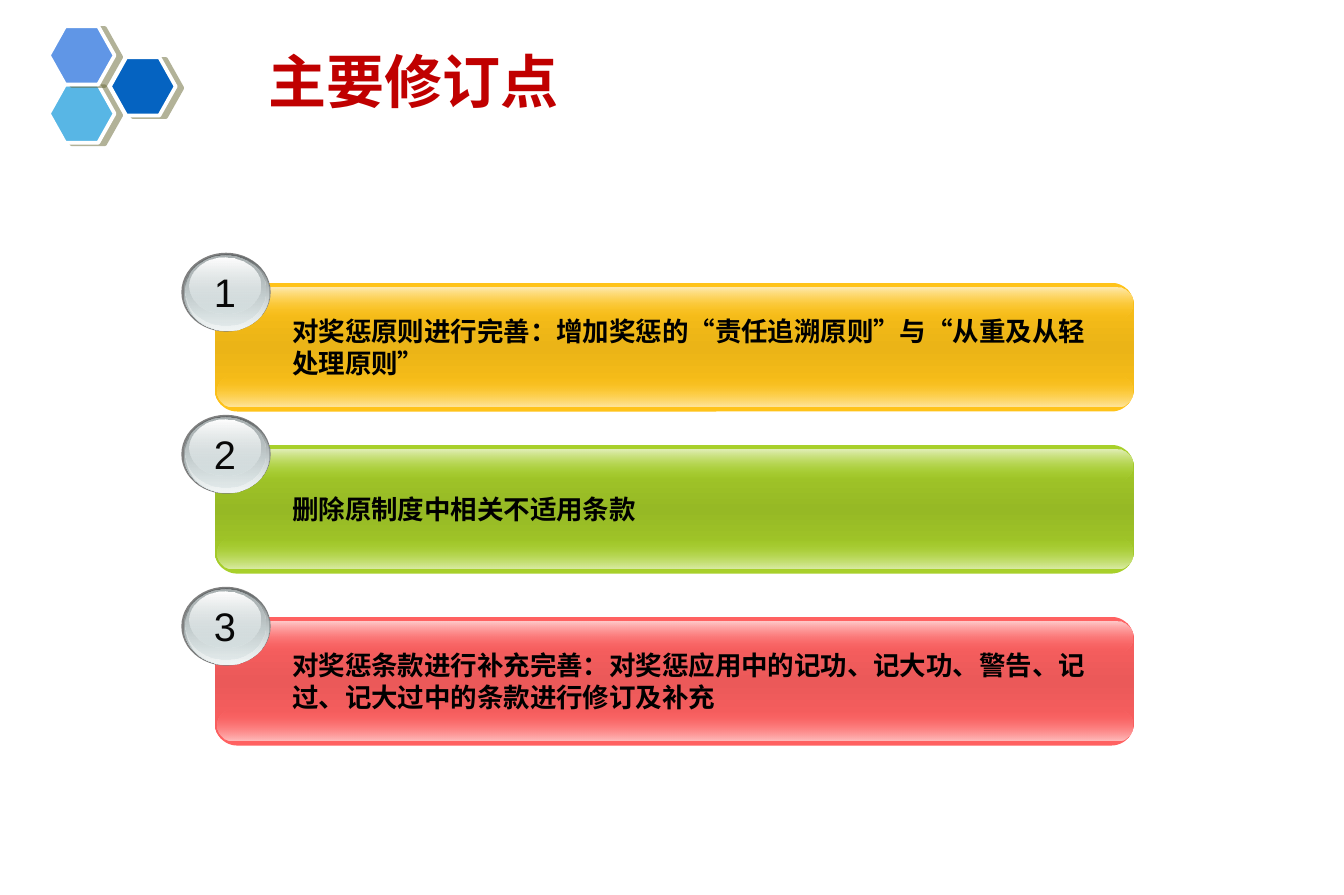
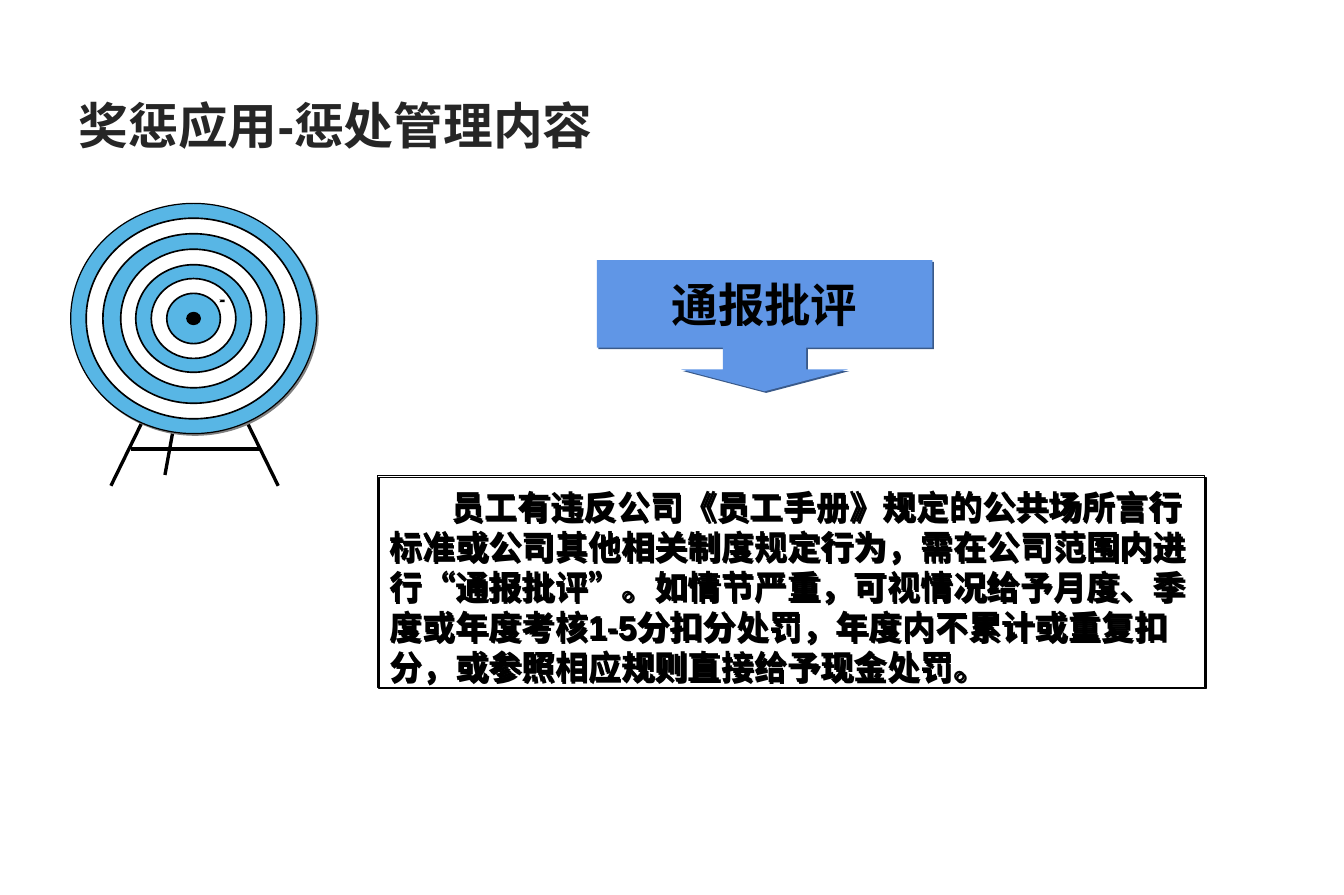
from lxml import etree
from pptx import Presentation
from pptx.dml.color import RGBColor
from pptx.enum.shapes import MSO_CONNECTOR, MSO_SHAPE
from pptx.enum.text import MSO_ANCHOR, PP_ALIGN
from pptx.oxml.ns import qn
from pptx.util import Cm, Pt

BAR = MSO_SHAPE.ROUNDED_RECTANGLE
BALL = MSO_SHAPE.OVAL
HEXAGON = MSO_SHAPE.HEXAGON
BOX = MSO_SHAPE.RECTANGLE
CALLOUT = MSO_SHAPE.DOWN_ARROW_CALLOUT
STRAIGHT = MSO_CONNECTOR.STRAIGHT
LEFT, CENTER = PP_ALIGN.LEFT, PP_ALIGN.CENTER
TOP, MIDDLE = MSO_ANCHOR.TOP, MSO_ANCHOR.MIDDLE

LATIN, CJK = "Arial", "Noto Sans CJK SC"
BLACK, WHITE = "000000", "FFFFFF"
SKY, BLUE, NAVY = "58B6E5", "6096E6", "0563C1"
SILVER, PALE = "D6E1E2", "F1F5F5"
HEXAGON_SHADOW = ("666633", 50, 4.1, 14)


def rgb(value):
    return RGBColor.from_string(value)


def add_color(parent, value, opacity=100):
    color = etree.SubElement(parent, qn("a:srgbClr"), val=value)
    if opacity < 100:
        etree.SubElement(color, qn("a:alpha"), val=str(opacity * 1000))


def add_shadow(effects, color, opacity, distance, angle):
    """Fill an effect list with one sharp shadow; distance in points."""
    shadow = etree.SubElement(
        effects, qn("a:outerShdw"), dist=str(Pt(distance)),
        dir=str(angle * 60000), algn="ctr", rotWithShape="0")
    add_color(shadow, color, opacity)


class Deck:
    def __init__(self):
        self.presentation = Presentation()
        self.presentation.slide_width = Cm(28.6)
        self.presentation.slide_height = Cm(19.05)
        self.slide = self.canvas = None

    def new_slide(self, title, place, size, color, align, font=LATIN):
        layout = self.presentation.slide_layouts[5]
        self.slide = self.presentation.slides.add_slide(layout)
        self.canvas = self.slide.shapes
        heading = self.slide.shapes.title
        heading.left, heading.top, heading.width, heading.height = map(Cm, place)
        self.set_text(heading, title, size, color, align, bold=True, font=font)

    def group(self):
        """Collect the following elements in a new group."""
        self.canvas = self.slide.shapes.add_group_shape().shapes

    def ungroup(self):
        self.canvas = self.slide.shapes

    def set_text(self, shape, text, size, color=BLACK, align=LEFT, anchor=MIDDLE,
                 bold=False, font=LATIN, spacing=None, shadow=None):
        frame = shape.text_frame
        frame.text = text
        frame.word_wrap = True
        frame.vertical_anchor = anchor
        paragraph = frame.paragraphs[0]
        paragraph.alignment = align
        if spacing:
            paragraph.line_spacing = Pt(spacing)
        run = paragraph.runs[0]
        run.font.size, run.font.bold = Pt(size), bold
        run.font.color.rgb = rgb(color)
        run.font.name = font
        properties = run._r.get_or_add_rPr()
        etree.SubElement(properties, qn("a:ea"), typeface=CJK)
        if shadow:
            effects = etree.Element(qn("a:effectLst"))
            properties.find(qn("a:solidFill")).addnext(effects)
            add_shadow(effects, *shadow)
        return paragraph

    def text(self, place, text, size, **style):
        return self.set_text(self.canvas.add_textbox(*map(Cm, place)), text, size, **style)

    def paint(self, shape, fill=None, line=None, shadow=None):
        """Fill is a hex colour, or a list of (position, colour, opacity) stops."""
        if fill is None:
            shape.fill.background()
        else:
            shape.fill.solid()
            if isinstance(fill, str):
                shape.fill.fore_color.rgb = rgb(fill)
            else:
                self.grade(shape, fill)
        if line:
            shape.line.color.rgb = rgb(line[0])
            shape.line.width = Pt(line[1])
        else:
            shape.line.fill.background()
        shape.shadow.inherit = False
        if shadow:
            add_shadow(shape._element.spPr.find(qn("a:effectLst")), *shadow)

    def grade(self, shape, stops):
        """Replace a solid fill by a gradient running downwards."""
        gradient = etree.Element(qn("a:gradFill"), rotWithShape="1")
        stop_list = etree.SubElement(gradient, qn("a:gsLst"))
        for position, color, opacity in stops:
            stop = etree.SubElement(stop_list, qn("a:gs"), pos=str(position * 1000))
            add_color(stop, color, opacity)
        etree.SubElement(gradient, qn("a:lin"), ang="5400000", scaled="1")
        properties = shape._element.spPr
        properties.replace(properties.find(qn("a:solidFill")), gradient)

    def shape(self, kind, place, adjustments=(), **style):
        shape = self.canvas.add_shape(kind, *map(Cm, place))
        for index, value in enumerate(adjustments):
            shape.adjustments[index] = value
        self.paint(shape, **style)
        return shape

    def line(self, *ends):
        line = self.canvas.add_connector(STRAIGHT, *map(Cm, ends))
        line.line.color.rgb = rgb(BLACK)
        line.line.width = Pt(2)
        etree.SubElement(line._element.spPr, qn("a:effectLst"))

    def polygon(self, points, fill):
        corners = [(Cm(x), Cm(y)) for x, y in points]
        builder = self.canvas.build_freeform(*corners[0], scale=1.0)
        builder.add_line_segments(corners[1:], close=True)
        self.paint(builder.convert_to_shape(), fill)

    def glossy_bar(self, top, base, middle, lower_gloss, upper_gloss):
        self.group()
        self.shape(BAR, (4.57, top, 19.56, 2.74), [0.175],
                   fill=[(0, base, 100), (50, middle, 100), (100, base, 100)])
        glosses = ((1.98, [(0, base, 0), (100, lower_gloss, 100)]),
                   (0.1, [(0, upper_gloss, 100), (100, base, 0)]))
        for offset, stops in glosses:
            self.shape(BAR, (4.62, top + offset, 19.48, 0.66), [0.5], fill=stops)
        self.ungroup()

    def numbered_ball(self, left, top, number):
        layers = (
            (0, 0, 1.9, 1.68, "808080"),
            (0.05, 0.03, 1.83, 1.63, [(0, "636869", 100), (100, SILVER, 100)]),
            (0.08, 0.05, 1.78, 1.6, [(0, SILVER, 0), (100, PALE, 100)]),
            (0.08, 0.05, 1.7, 1.5, [(0, "AAB2B3", 100), (100, SILVER, 48)]),
            (0.18, 0.1, 1.5, 1.19, [(0, WHITE, 100), (100, SILVER, 38)]),
        )
        self.group()
        for x, y, width, height, fill in layers:
            self.shape(BALL, (left + x, top + y, width, height), fill=fill)
        self.text((left + 0.33, top + 0.2, 1.19, 1.27), str(number), 24,
                  color="080808", align=CENTER)
        self.ungroup()

    def target(self, center_x, center_y):
        self.group()
        for leg in ((3.51, 10.11, 4.11, 6.81), (4.24, 6.91, 5.92, 10.34),
                    (2.36, 10.34, 4.04, 6.91)):
            self.line(*leg)
        rings = ((5.23, 4.9, SKY), (4.57, 4.27, WHITE), (3.86, 3.61, SKY),
                 (3.1, 2.95, WHITE), (2.46, 2.29, SKY), (1.8, 1.7, WHITE),
                 (1.14, 1.07, SKY), (0.28, 0.25, BLACK))
        for index, (width, height, color) in enumerate(rings):
            outermost = index == 0
            self.shape(BALL, (center_x - width / 2, center_y - height / 2, width, height),
                       fill=color, line=(BLACK, 0.75 if outermost else 1),
                       shadow=("808080", 100, 1.4, 45) if outermost else None)
        self.line(2.79, 9.56, 5.56, 9.56)
        self.polygon([(4.75, 6.38), (4.78, 6.38), (4.78, 6.43), (4.67, 6.43),
                      (4.7, 6.4), (4.67, 6.38)], BLACK)
        self.ungroup()


def revisions_slide(deck):
    deck.new_slide("主要修订点", (4.85, 0.84, 7.9, 1.75), 35, "C00000", CENTER, CJK)
    revisions = (
        (6.02, ("FFC319", "EBB417", "FFE6A0", "FFEBB2"),
         "对奖惩原则进行完善：增加奖惩的“责任追溯原则”与“从重及从轻处理原则”"),
        (9.47, ("A8D02A", "96B925", "DBECA7", "E2EFB8"),
         "删除原制度中相关不适用条款"),
        (13.13, ("FF6161", "EB5959", "FFBEBE", "FFCACA"),
         "对奖惩条款进行补充完善：对奖惩应用中的记功、记大功、警告、记过、"
         "记大过中的条款进行修订及补充"),
    )
    for number, (top, colors, revision) in enumerate(revisions, 1):
        deck.glossy_bar(top, *colors)
        deck.numbered_ball(3.86, top - 0.64, number)
        deck.text((5.97, top, 17.65, 2.74), revision, 16, bold=True, spacing=19.3)
    deck.group()
    for left, top, color in ((2.34, 1.22, NAVY), (1.04, 1.8, SKY), (1.04, 0.56, BLUE)):
        deck.shape(HEXAGON, (left, top, 1.4, 1.24), [0.28], fill=color,
                   line=(WHITE, 2.25), shadow=HEXAGON_SHADOW)
    deck.ungroup()


def penalty_slide(deck):
    deck.new_slide("奖惩应用-惩处管理内容", (1.42, 1.68, 25.73, 1.96), 30, "262626", LEFT)
    deck.target(4.12, 6.78)
    rule_box = deck.shape(BOX, (8.03, 10.13, 17.6, 4.5), line=(BLACK, 0.75),
                          shadow=(BLACK, 100, 1.4, 45))
    rule = deck.set_text(
        rule_box,
        "员工有违反公司《员工手册》规定的公共场所言行标准或公司其他相关制度规定行为，"
        "需在公司范围内进行“通报批评”。如情节严重，可视情况给予月度、季度或年度考核1-5分扣分处罚，"
        "年度内不累计或重复扣分，或参照相应规则直接给予现金处罚。",
        20, anchor=TOP, bold=True, spacing=24.1)
    rule._p.get_or_add_pPr().set("indent", str(Cm(1.32)))
    rule_box.text_frame.margin_top = Cm(0.23)
    callout = deck.shape(CALLOUT, (12.7, 5.54, 7.14, 2.79), [0.636, 0.636, 0.167, 0.667],
                         fill=BLUE, shadow=("3A5A8A", 100, 1.4, 45))
    deck.set_text(callout, "通报批评", 28, align=CENTER, bold=True,
                  shadow=("808080", 100, 1.4, 45))


def main():
    deck = Deck()
    revisions_slide(deck)
    penalty_slide(deck)
    deck.presentation.save("out.pptx")


if __name__ == "__main__":
    main()
